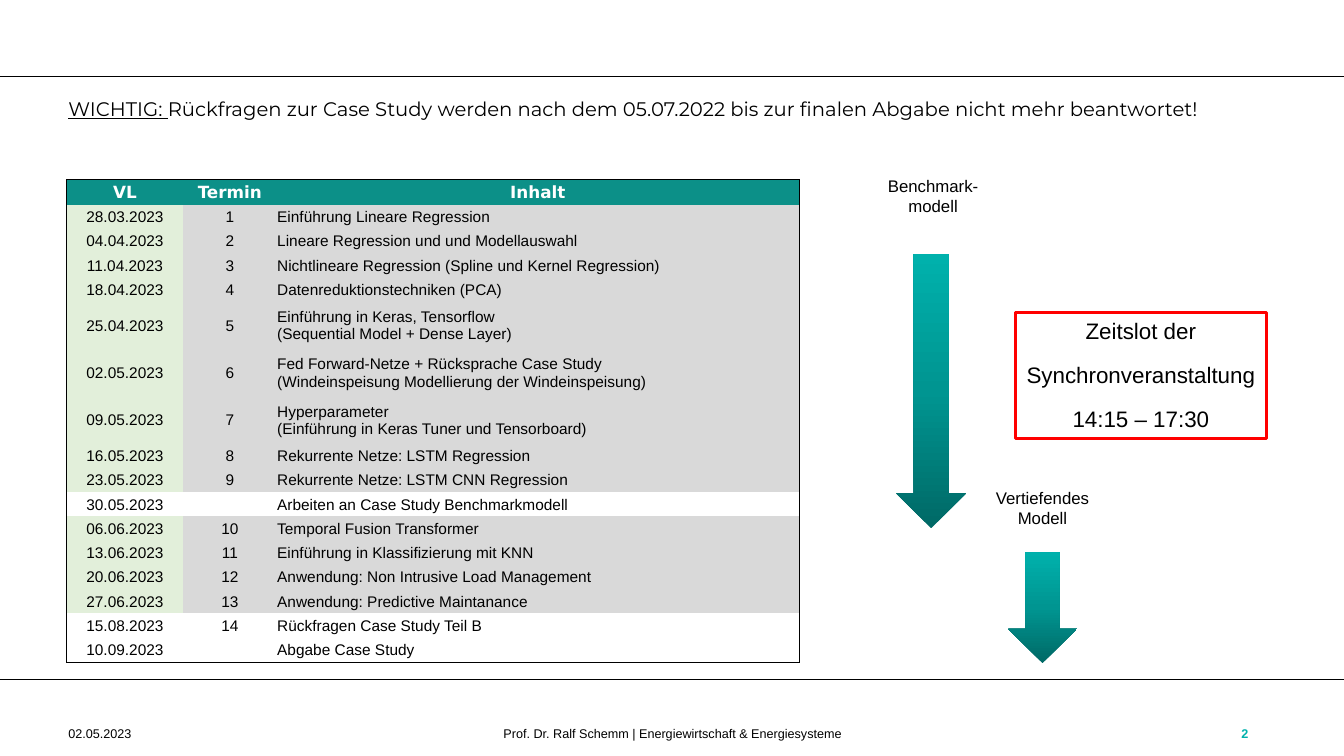
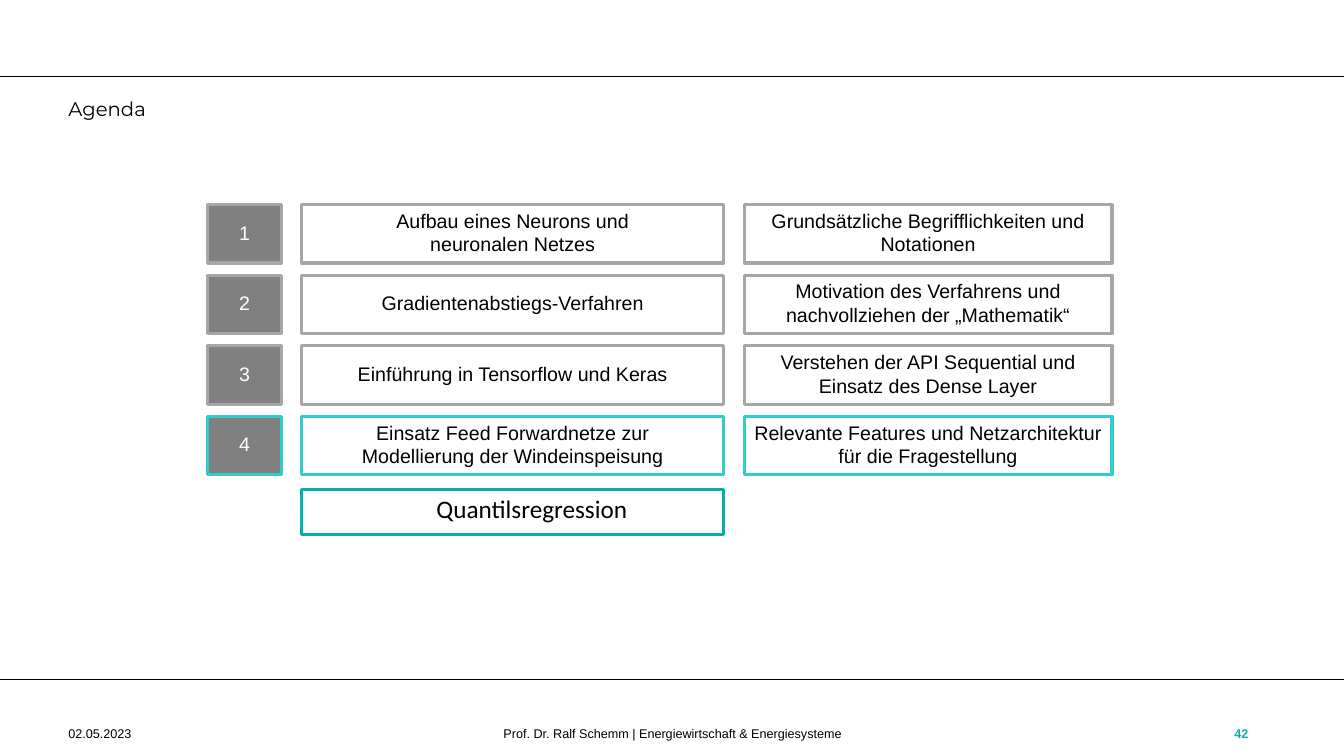
from copy import deepcopy

from pptx import Presentation
from pptx.dml.color import RGBColor as Rgb
from pptx.enum.shapes import MSO_CONNECTOR as Connector, MSO_SHAPE as Preset
from pptx.enum.text import MSO_ANCHOR as Anchor, PP_ALIGN as Align
from pptx.oxml import parse_xml
from pptx.oxml.ns import nsdecls, qn
from pptx.util import Inches, Pt

COLORS = {
    "black": "000000", "white": "FFFFFF", "teal": "00B1AC",
    "mid_teal": "009591", "dark_teal": "006966", "header": "0C9088",
    "date": "E2EFDA", "content": "D9D9D9", "red": "FF0000",
    "number": "808080", "border": "A6A6A6", "active": "33CCCC",
}
NO_GRID_STYLE = "{2D5ABB26-0587-4C30-8999-92F81FD0307C}"
WIDTH, HEIGHT = 13.33, 7.5
DATE = "02.05.2023"
FOOTER = "Prof. Dr. Ralf Schemm | Energiewirtschaft & Energiesysteme"

LECTURES = [
    ("28.03.2023", "1", "Einführung Lineare Regression"),
    ("04.04.2023", "2", "Lineare Regression und und Modellauswahl"),
    ("11.04.2023", "3", "Nichtlineare Regression (Spline und Kernel Regression)"),
    ("18.04.2023", "4", "Datenreduktionstechniken (PCA)"),
    ("25.04.2023", "5", "Einführung in Keras, Tensorflow\n(Sequential Model + Dense Layer)"),
    ("02.05.2023", "6", "Fed Forward-Netze + Rücksprache Case Study\n"
                        "(Windeinspeisung Modellierung der Windeinspeisung)"),
    ("09.05.2023", "7", "Hyperparameter\n(Einführung in Keras Tuner und Tensorboard)"),
    ("16.05.2023", "8", "Rekurrente Netze: LSTM Regression"),
    ("23.05.2023", "9", "Rekurrente Netze: LSTM CNN Regression"),
    ("30.05.2023", "", "Arbeiten an Case Study Benchmarkmodell"),
    ("06.06.2023", "10", "Temporal Fusion Transformer"),
    ("13.06.2023", "11", "Einführung in Klassifizierung mit KNN"),
    ("20.06.2023", "12", "Anwendung: Non Intrusive Load Management"),
    ("27.06.2023", "13", "Anwendung: Predictive Maintanance"),
    ("15.08.2023", "14", "Rückfragen Case Study Teil B"),
    ("10.09.2023", "", "Abgabe Case Study"),
]
UNSHADED = {"30.05.2023", "15.08.2023", "10.09.2023"}

AGENDA = [
    ("Aufbau eines Neurons und\nneuronalen Netzes",
     "Grundsätzliche Begrifflichkeiten und Notationen"),
    ("Gradientenabstiegs-Verfahren",
     "Motivation des Verfahrens und nachvollziehen der „Mathematik“"),
    ("Einführung in Tensorflow und Keras",
     "Verstehen der API Sequential und\nEinsatz des Dense Layer"),
    ("Einsatz Feed Forwardnetze zur\nModellierung der Windeinspeisung",
     "Relevante Features und Netzarchitektur für die Fragestellung"),
]


def rgb(color):
    return Rgb.from_string(COLORS[color])


def apply(target, formats):
    for name, value in formats.items():
        setattr(target, name, value)


class Deck:
    def __init__(self):
        self.deck = Presentation()
        self.deck.slide_width = Inches(WIDTH)
        self.deck.slide_height = Inches(HEIGHT)
        self.page = None

    def start(self, title, number):
        self.page = self.deck.slides.add_slide(self.deck.slide_layouts[6])
        for y in (6.74, 0.76):
            self.rule(y)
        heading = self.text((0.58, 0.91, 11.91, 0.55), title, size=14, name="Montserrat")
        small = {"size": 9, "frame": {"vertical_anchor": Anchor.MIDDLE}}
        self.text((0.58, 7.08, 1.89, 0.4), DATE, **small)
        self.text((3.52, 7.08, 6.3, 0.4), FOOTER, align=Align.CENTER, **small)
        self.text((11.6, 7.08, 0.88, 0.4), number, align=Align.RIGHT,
                  color="teal", bold=True, **small)
        return heading

    def rule(self, y):
        line = self.page.shapes.add_connector(
            Connector.STRAIGHT, 0, Inches(y), Inches(WIDTH), Inches(y))
        line.line.color.rgb = rgb("black")
        line.line.width = Pt(1)
        line.element.spPr.append(parse_xml(f"<a:effectLst {nsdecls('a')}/>"))

    def typeset(self, frame_owner, content, size=12, name="Arial", color="black",
                align=Align.LEFT, frame=None, spacing=None, **font):
        text_frame = frame_owner.text_frame
        apply(text_frame, {"word_wrap": True, **(frame or {})})
        content = [content] if isinstance(content, str) else content
        for index, line in enumerate(content):
            para = text_frame.add_paragraph() if index else text_frame.paragraphs[0]
            para.text = line
            apply(para, {"alignment": align, **(spacing or {})})
            for span in para.runs:
                apply(span.font, {"size": Pt(size), "name": name, **font})
                span.font.color.rgb = rgb(color)
            for mark in para._p.findall(qn("a:br")):
                mark.insert(0, deepcopy(para.runs[0]._r.rPr))
            if not para.runs:
                para._p.get_or_add_endParaRPr().set("sz", str(size * 100))

    def text(self, place, content, **style):
        box = self.page.shapes.add_textbox(*map(Inches, place))
        self.typeset(box, content, **style)
        return box

    def shape(self, place, preset=Preset.RECTANGLE, fill=None, line=None):
        box = self.page.shapes.add_shape(preset, *map(Inches, place))
        box.shadow.inherit = False
        if fill:
            box.fill.solid()
            box.fill.fore_color.rgb = rgb(fill)
        else:
            box.fill.background()
        if line:
            box.line.color.rgb = rgb(line)
            box.line.width = Pt(2.25)
        else:
            box.line.fill.background()
        return box

    def label(self, place, content, size=12, fill="white", line=None):
        self.typeset(self.shape(place, fill=fill, line=line), content, size=size,
                     align=Align.CENTER, spacing={"space_after": Pt(12)},
                     frame={"word_wrap": False, "vertical_anchor": Anchor.TOP})

    def tile(self, place, content, line, fill="white", left=0, **style):
        frame = {"margin_left": Inches(left), "margin_right": 0, "margin_top": 0,
                 "margin_bottom": Inches(0.03), "vertical_anchor": Anchor.MIDDLE}
        self.typeset(self.shape(place, fill=fill, line=line), content,
                     align=Align.CENTER, frame=frame, **{"size": 14, **style})

    def down_arrow(self, place):
        arrow = self.shape(place, Preset.DOWN_ARROW)
        arrow.fill.gradient()
        arrow.fill.gradient_angle = 90
        stops = arrow.element.xpath(".//a:gsLst")[0]
        stops.insert(1, deepcopy(stops[0]))
        shades = ("dark_teal", "mid_teal", "teal")
        for index, (stop, shade) in enumerate(zip(arrow.fill.gradient_stops, shades)):
            stop.position = index / 2
            stop.color.rgb = rgb(shade)

    def border(self, cell, sides):
        for side in sides:
            cell._tc.get_or_add_tcPr().append(parse_xml(
                f'<a:ln{side} {nsdecls("a")} w="6350"><a:solidFill>'
                f'<a:srgbClr val="{COLORS["black"]}"/></a:solidFill></a:ln{side}>'))

    def schedule(self, place, widths, header, lectures):
        rows = [header, *lectures]
        holder = self.page.shapes.add_table(len(rows), len(widths), *map(Inches, place))
        holder.element.xpath(".//a:tableStyleId")[0].text = NO_GRID_STYLE
        table = holder.table
        apply(table, {"first_row": False, "horz_banding": False})
        for column, width in zip(table.columns, widths):
            column.width = Inches(width)
        double = [index for index, row in enumerate(rows) if "\n" in row[2]]
        head_height, double_height = 0.25, 0.47
        single_height = ((place[3] - head_height - double_height * len(double))
                         / (len(lectures) - len(double)))
        last_row, last_column = len(rows) - 1, len(widths) - 1
        for y, row in enumerate(rows):
            height = double_height if y in double else single_height
            table.rows[y].height = Inches(height if y else head_height)
            for x, content in enumerate(row):
                cell = table.cell(y, x)
                edges = {"L": x == 0, "R": x == last_column, "T": y == 0, "B": y == last_row}
                self.border(cell, [side for side, outer in edges.items() if outer])
                if y == 0:
                    fill = "header"
                elif row[0] in UNSHADED:
                    fill = "white"
                else:
                    fill = "content" if x else "date"
                cell.fill.solid()
                cell.fill.fore_color.rgb = rgb(fill)
                apply(cell, {"vertical_anchor": Anchor.MIDDLE, "margin_bottom": 0,
                             **{f"margin_{side}": Inches(0.01)
                                for side in ("left", "right", "top")}})
                if y == 0:
                    style = {"size": 12, "name": "DejaVu Sans", "color": "white", "bold": True}
                else:
                    style = {"size": 11}
                align = Align.LEFT if y and x == last_column else Align.CENTER
                self.typeset(cell, content, align=align, **style)


def build_schedule(deck):
    heading = deck.start("WICHTIG: ", "2")
    para = heading.text_frame.paragraphs[0]
    para.runs[0].font.underline = True
    span = para.add_run()
    span.text = ("Rückfragen zur Case Study werden nach dem 05.07.2022 "
                 "bis zur finalen Abgabe nicht mehr beantwortet!")
    apply(span.font, {"size": Pt(14), "name": "Montserrat"})
    span.font.color.rgb = rgb("black")
    deck.down_arrow((8.89, 2.52, 0.69, 2.72))
    deck.down_arrow((10, 5.48, 0.68, 1.1))
    deck.label((8.7, 1.69, 1.11, 0.5), "Benchmark-\nmodell")
    deck.label((9.75, 4.79, 1.18, 0.5), "Vertiefendes\nModell")
    deck.label((10.07, 3.1, 2.49, 1.25),
               ["Zeitslot der", "Synchronveranstaltung", "14:15 – 17:30"],
               size=16, fill=None, line="red")
    deck.schedule((0.66, 1.78, 7.27, 4.79), (1.16, 0.92, 5.19),
                  ("VL", "Termin", "Inhalt"), LECTURES)


def build_agenda(deck):
    deck.start("Agenda", "42")
    top, step, height = 2.03, 0.7, 0.58
    for index, (topic, goal) in enumerate(AGENDA):
        y = top + index * step
        line = "active" if index == len(AGENDA) - 1 else "border"
        deck.tile((2.99, y, 4.19, height), topic, line)
        deck.tile((7.38, y, 3.65, height), goal, line)
        deck.tile((2.06, y, 0.73, height), str(index + 1), line, fill="number", color="white")
    deck.tile((2.99, 4.86, 4.19, 0.44), "Quantilsregression", "teal", left=0.38,
              size=18, name="Calibri",
              spacing={"line_spacing": 0.9, "space_before": Pt(3.8)})


def main():
    deck = Deck()
    build_schedule(deck)
    build_agenda(deck)
    deck.deck.save("out.pptx")


if __name__ == "__main__":
    main()
